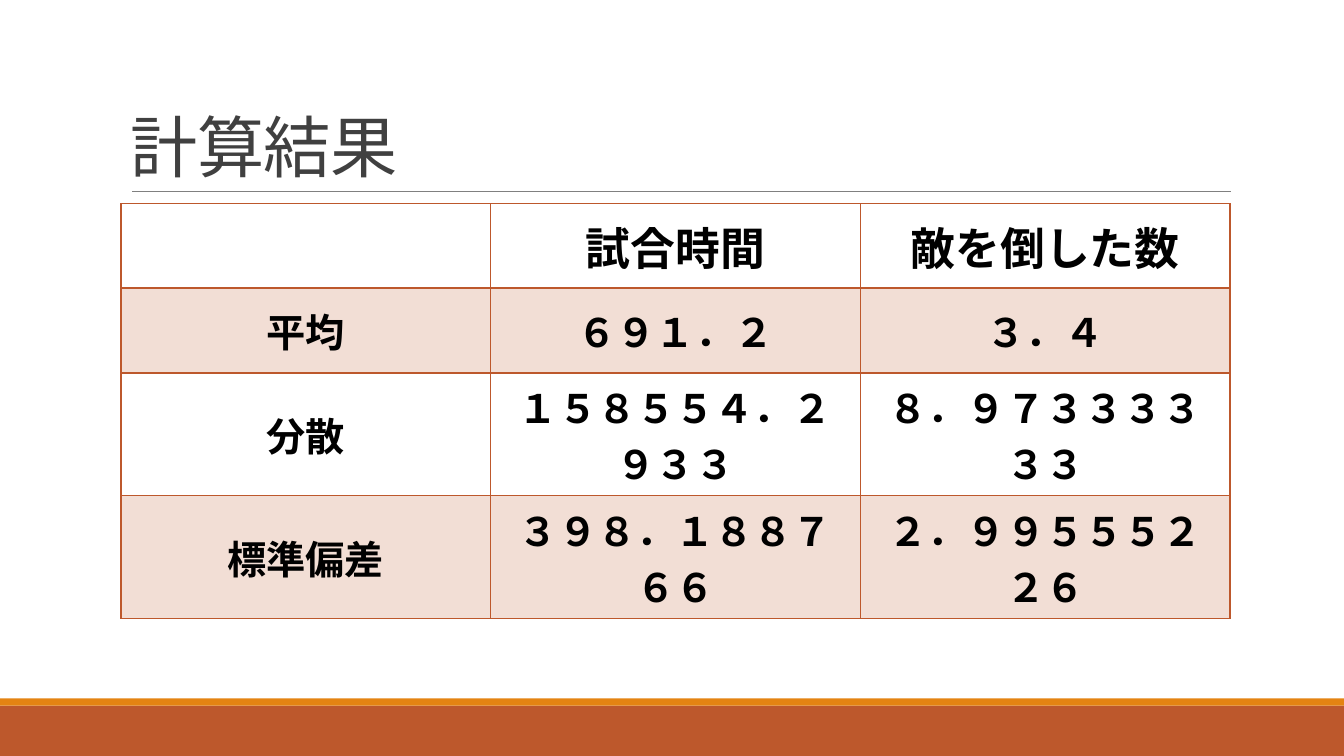
"""Build the calculation results slide with its table of statistics."""
from lxml import etree
from pptx import Presentation
from pptx.dml.color import RGBColor
from pptx.enum import lang, shapes, text
from pptx.oxml import ns
from pptx.util import Inches, Pt

RUST = RGBColor(0xBD, 0x58, 0x2C)
ORANGE = RGBColor(0xE4, 0x83, 0x12)
GRAY = RGBColor(0x80, 0x80, 0x80)
TITLE = RGBColor(0x40, 0x40, 0x40)
BLACK = RGBColor(0, 0, 0)
WHITE = RGBColor(0xFF, 0xFF, 0xFF)
TINT = RGBColor(0xF2, 0xDE, 0xD5)

ROWS = [
    (0.84, ["", "試合時間", "敵を倒した数"]),
    (0.84, ["平均", "６９１．２", "３．４"]),
    (1.22, ["分散", "１５８５５４．２９３３", "８．９７３３３３３３"]),
    (1.22, ["標準偏差", "３９８．１８８７６６", "２．９９５５５２２６"]),
]


def style(p, size, color, bold=False):
    p.font.name = "Calibri"
    p.font.size = Pt(size)
    p.font.bold = bold
    p.font.color.rgb = color
    for r in p.runs:
        r.font.language_id = lang.MSO_LANGUAGE_ID.JAPANESE


def add_border(cell, index, side, width):
    ln = etree.Element(ns.qn("a:ln" + side), w=str(Pt(width)))
    fill = etree.SubElement(ln, ns.qn("a:solidFill"))
    etree.SubElement(fill, ns.qn("a:srgbClr"), val=str(RUST))
    cell._tc.get_or_add_tcPr().insert(index, ln)


prs = Presentation()
prs.slide_width, prs.slide_height = Inches(13.33), Inches(7.5)
s = prs.slides.add_slide(prs.slide_layouts[6])

for top, height, color in [(7, 0.5, RUST), (6.93, 0.07, ORANGE)]:
    sp = s.shapes.add_shape(shapes.MSO_SHAPE.RECTANGLE, 0, Inches(top),
                            prs.slide_width, Inches(height))
    sp.shadow.inherit = False
    sp.fill.solid()
    sp.fill.fore_color.rgb = color
    sp.line.fill.background()

rule = s.shapes.add_connector(shapes.MSO_CONNECTOR.STRAIGHT, Inches(1.31), Inches(1.9),
                              Inches(12.21), Inches(1.9))
rule.line.color.rgb = GRAY
rule.line.width = Pt(0.5)
etree.SubElement(rule._element.spPr, ns.qn("a:effectLst"))

tf = s.shapes.add_textbox(Inches(1.2), Inches(0.31), Inches(11), Inches(1.59)).text_frame
tf.word_wrap = True
tf.vertical_anchor = text.MSO_ANCHOR.BOTTOM
p = tf.paragraphs[0]
r = p.add_run()
r.text = "計算結果"
p.line_spacing = 0.85
style(p, 48, TITLE)
r.font._element.set("spc", "-50")

table_height = sum(height for height, _ in ROWS)
table = s.shapes.add_table(len(ROWS), 3, Inches(1.2), Inches(2.02),
                           Inches(11), Inches(table_height)).table
table.first_row = table.horz_banding = False
for i, (height, values) in enumerate(ROWS):
    table.rows[i].height = Inches(height)
    for j, value in enumerate(values):
        cell = table.cell(i, j)
        cell.vertical_anchor = text.MSO_ANCHOR.MIDDLE
        cell.fill.solid()
        cell.fill.fore_color.rgb = TINT if i % 2 else WHITE
        for index, side in enumerate("LRTB"):
            add_border(cell, index, side, 2 if i == 0 and side == "B" else 1)
        p = cell.text_frame.paragraphs[0]
        if value:
            p.add_run().text = value
        p.alignment = text.PP_ALIGN.CENTER
        style(p, 28 if i else 32, BLACK, bold=True)

prs.save("out.pptx")
